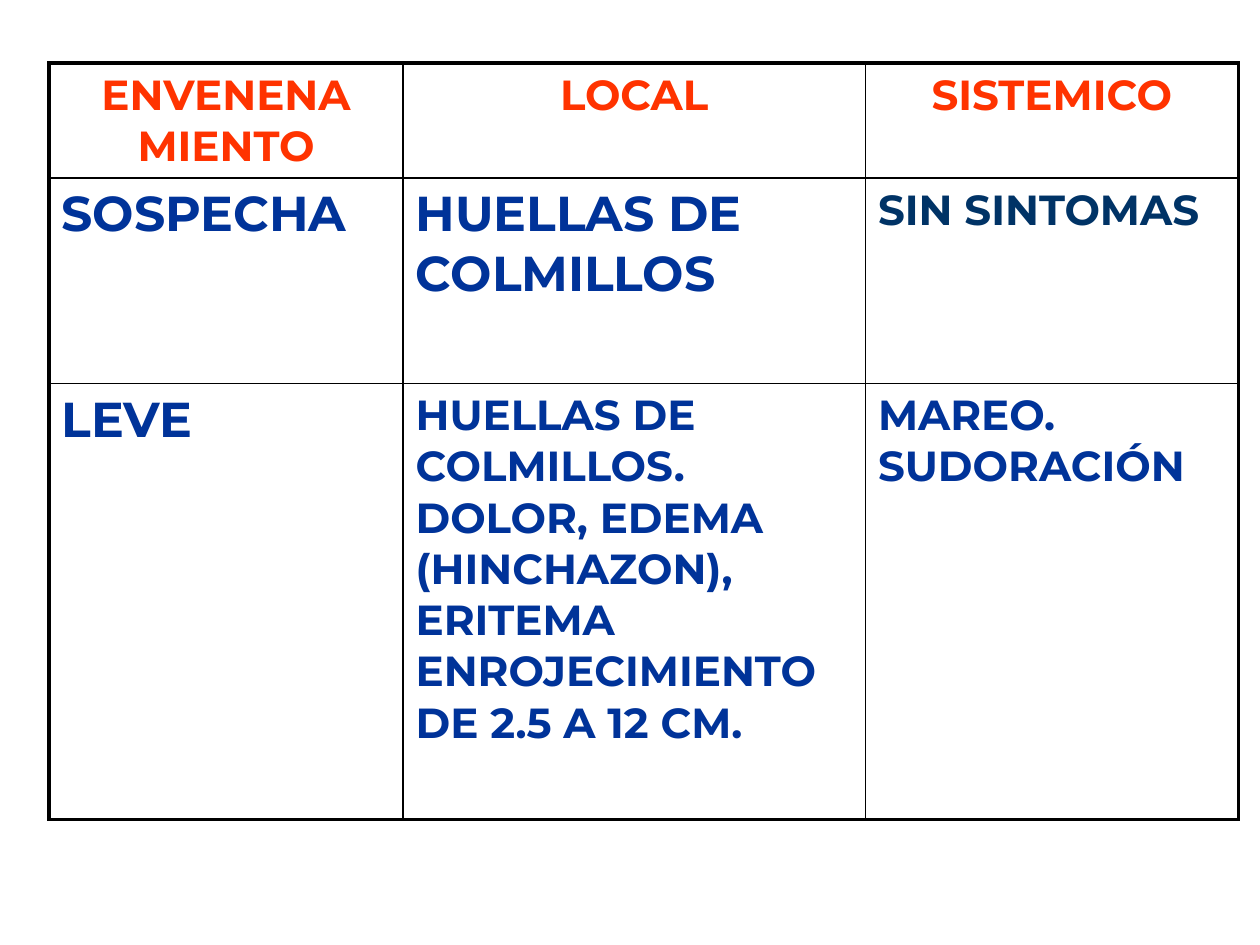
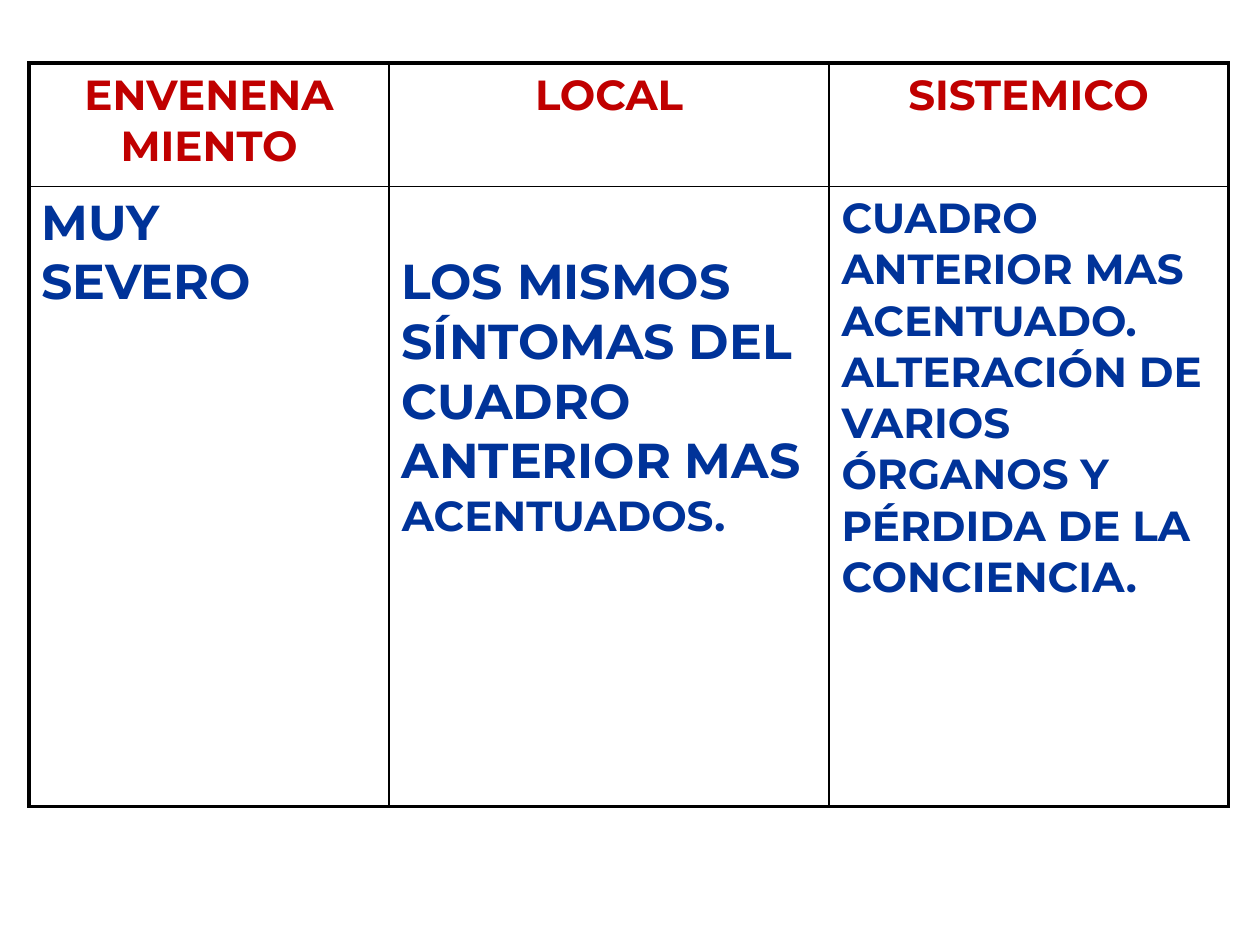
"""Build two slides of tables grading envenomation by local and systemic signs."""
from lxml import etree
from pptx import Presentation
from pptx.dml.color import RGBColor
from pptx.enum.text import PP_ALIGN
from pptx.oxml.ns import qn
from pptx.util import Pt

LEFT, CENTER = PP_ALIGN.LEFT, PP_ALIGN.CENTER
FONT = "Montserrat"
BLUE, NAVY, ORANGE, RED, BLACK = "003399", "003366", "FF3300", "C00000", "000000"
BIG, SMALL = 28, 24
THICK, THIN = 2.25, 1
TOP, PAD_X, PAD_Y = 36, 7.2, 3.6
BLANK_LINE = 34.1

HEADS = ["ENVENENA\nMIENTO", "LOCAL", "SISTEMICO"]

SLIDES = [
    {
        "left": 28, "head": ORANGE,
        "cols": [202.3, 264.3, 213], "rows": [64.8, 117.4, 249.1],
        "body": [
            [
                {"text": "SOSPECHA", "size": BIG},
                {"text": "HUELLAS DE COLMILLOS", "size": BIG},
                {"text": "SIN SINTOMAS", "color": NAVY},
            ],
            [
                {"text": "LEVE", "size": BIG},
                {"text": "HUELLAS DE COLMILLOS.\vDOLOR, EDEMA (HINCHAZON), "
                         "ERITEMA ENROJECIMIENTO DE 2.5 A 12 CM."},
                {"text": "MAREO.\vSUDORACIÓN"},
            ],
        ],
    },
    {
        "left": 16.5, "head": RED,
        "cols": [205.9, 251.3, 228.2], "rows": [70.6, 354.2],
        "body": [
            [
                {"text": "MUY SEVERO", "size": BIG},
                {"text": "LOS MISMOS SÍNTOMAS DEL CUADRO ANTERIOR MAS ",
                 "size": BIG, "tail": "ACENTUADOS.", "drop": BLANK_LINE},
                {"text": "CUADRO ANTERIOR MAS ACENTUADO.\vALTERACIÓN DE "
                         "VARIOS ÓRGANOS Y PÉRDIDA DE LA CONCIENCIA."},
            ],
        ],
    },
]


def rgb(code):
    return RGBColor.from_string(code)


def style(run, size, color):
    font = run.font
    font.name, font.size, font.bold = FONT, Pt(size), True
    font.color.rgb = rgb(color)


def border(cell, side, width):
    props = cell._tc.get_or_add_tcPr()
    line = etree.SubElement(props, qn("a:ln" + side), w=str(Pt(width)))
    fill = etree.SubElement(line, qn("a:solidFill"))
    etree.SubElement(fill, qn("a:srgbClr"), val=BLACK)


def write(cell, text, size=SMALL, color=BLUE, align=LEFT, tail="", drop=0):
    cell.margin_left = cell.margin_right = Pt(PAD_X)
    cell.margin_top, cell.margin_bottom = Pt(PAD_Y + drop), Pt(PAD_Y)
    frame = cell.text_frame
    frame.text = text
    for para in frame.paragraphs:
        para.alignment = align
        for run in para.runs:
            style(run, size, color)
    if tail:
        run = frame.paragraphs[-1].add_run()
        run.text = tail
        style(run, SMALL, color)


def draw(slide, left, head, cols, rows, body):
    first = [{"text": text, "color": head, "align": CENTER} for text in HEADS]
    grid = [first] + body
    frame = slide.shapes.add_table(len(rows), len(cols), Pt(left), Pt(TOP),
                                   Pt(sum(cols)), Pt(sum(rows)))
    table = frame.table
    table.first_row = table.horz_banding = False
    for col, width in zip(table.columns, cols):
        col.width = Pt(width)
    for row, height in zip(table.rows, rows):
        row.height = Pt(height)
    for r, line in enumerate(grid):
        for c, item in enumerate(line):
            cell = table.cell(r, c)
            write(cell, **item)
            outer = {"L": c == 0, "R": c == len(cols) - 1,
                     "T": r == 0, "B": r == len(rows) - 1}
            for side, edge in outer.items():
                border(cell, side, THICK if edge else THIN)
            cell.fill.background()


def main():
    deck = Presentation()
    deck.slide_width, deck.slide_height = Pt(720), Pt(540)
    for data in SLIDES:
        draw(deck.slides.add_slide(deck.slide_layouts[6]), **data)
    deck.save("out.pptx")


if __name__ == "__main__":
    main()
